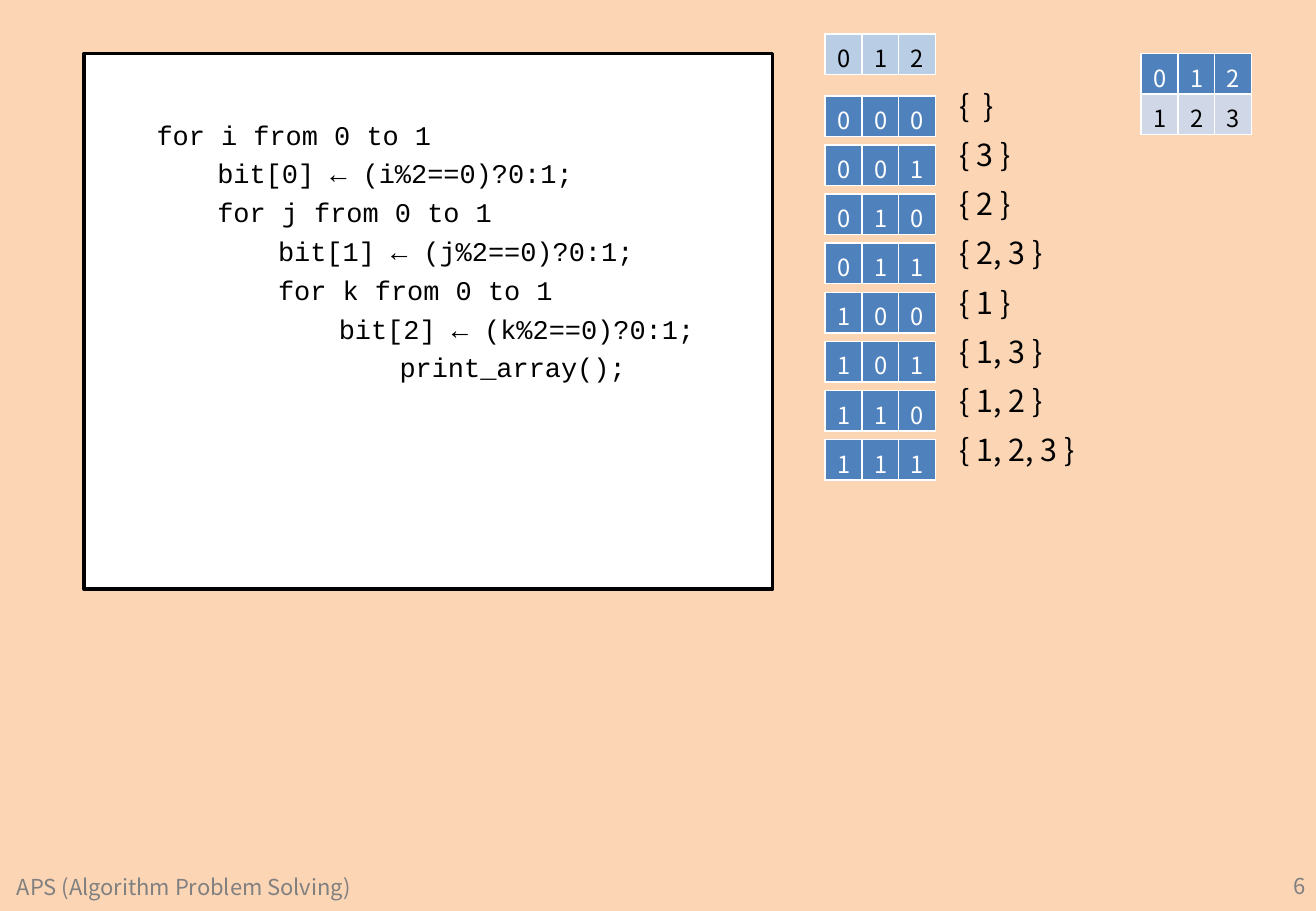
"""Build the slide that lists subsets generated from three nested bit loops."""
from lxml.etree import SubElement
from pptx import Presentation
from pptx.dml.color import RGBColor
from pptx.enum.shapes import MSO_SHAPE
from pptx.enum.text import MSO_ANCHOR as Anchor, PP_ALIGN as Align
from pptx.oxml.ns import qn
from pptx.util import Inches, Pt

PEACH = RGBColor(0xFC, 0xD5, 0xB5)
WHITE = RGBColor(0xFF, 0xFF, 0xFF)
BLACK = RGBColor(0x00, 0x00, 0x00)
GRAY = RGBColor(0x80, 0x80, 0x80)
BLUE = RGBColor(0x4F, 0x81, 0xBD)
LIGHT_BLUE = RGBColor(0xB9, 0xCD, 0xE5)
PALE_BLUE = RGBColor(0xD0, 0xD8, 0xE8)
SANS = "Noto Sans CJK KR"
MONO = "Courier New"
CELL_WIDTH, CELL_HEIGHT = 0.3033, 0.333

CODE_LINES = [
    (1, "for i from 0 to 1"),
    (2, "bit[0] ← (i%2==0)?0:1;"),
    (2, "for j from 0 to 1"),
    (3, "bit[1] ← (j%2==0)?0:1;"),
    (3, "for k from 0 to 1"),
    (4, "bit[2] ← (k%2==0)?0:1;"),
    (5, "print_array();"),
]

deck = Presentation()
deck.slide_width, deck.slide_height = Inches(10.83), Inches(7.5)
page = deck.slides.add_slide(deck.slide_layouts[6])
page.background.fill.solid()
page.background.fill.fore_color.rgb = PEACH


def write(para, text, size, color, font=SANS, align=Align.LEFT):
    """Add one formatted run to a paragraph."""
    para.alignment = align
    span = para.add_run()
    span.text = text
    for name, value in {"name": font, "size": Pt(size)}.items():
        setattr(span.font, name, value)
    span.font.color.rgb = color


def add_digits(left, top, rows):
    """Add a table with one (digits, fill, text colour) entry per row."""
    columns = len(rows[0][0])
    table = page.shapes.add_table(
        len(rows), columns, Inches(left), Inches(top),
        Inches(CELL_WIDTH * columns), Inches(CELL_HEIGHT * len(rows))).table
    table.first_row = table.horz_banding = False
    for column in table.columns:
        column.width = Inches(CELL_WIDTH)
    for row, (digits, fill, color) in enumerate(rows):
        table.rows[row].height = Inches(CELL_HEIGHT)
        for column, digit in enumerate(digits):
            cell = table.cell(row, column)
            cell.margin_top, cell.margin_bottom = Inches(0.05), 0
            properties = cell._tc.get_or_add_tcPr()
            for side in ("a:lnL", "a:lnR", "a:lnT", "a:lnB"):
                border = SubElement(properties, qn(side), w=str(Pt(1)))
                solid = SubElement(border, qn("a:solidFill"))
                SubElement(solid, qn("a:srgbClr"), val=str(WHITE))
            cell.fill.solid()
            cell.fill.fore_color.rgb = fill
            write(cell.text_frame.paragraphs[0], digit, 14, color, align=Align.CENTER)


code_box = page.shapes.add_shape(
    MSO_SHAPE.RECTANGLE, Inches(0.69), Inches(0.44), Inches(5.67), Inches(4.41))
code_box.shadow.inherit = False
code_box.fill.solid()
code_box.fill.fore_color.rgb = WHITE
code_box.line.color.rgb = BLACK
code_box.line.width = Pt(2)
code = code_box.text_frame
code.word_wrap = True
code.vertical_anchor = Anchor.TOP
code.margin_top = Inches(0.48)
for index, (level, text) in enumerate(CODE_LINES):
    para = code.add_paragraph() if index else code.paragraphs[0]
    para.level = level
    para.line_spacing = Pt(23)
    properties = para._p.get_or_add_pPr()
    properties.set("marL", str(Inches(0.5 * level)))
    properties.set("indent", "0")
    write(para, text, 16, BLACK, font=MONO)

labels = [
    (0.04, 7.19, 3.43, "APS (Algorithm Problem Solving)", 13, GRAY, Align.LEFT),
    (8.31, 7.18, 2.53, "6", 13, GRAY, Align.RIGHT),
]
for number in range(8):
    bits = format(number, "03b")
    top = 0.79 + 0.404 * number
    members = ", ".join(str(place) for place, bit in enumerate(bits, 1) if bit == "1")
    add_digits(6.79, top, [(bits, BLUE, WHITE)])
    labels.append((7.8, top - 0.07, 1.5, "{ " + members + " }", 18, BLACK, Align.LEFT))

for left, top, width, text, size, color, align in labels:
    box = page.shapes.add_textbox(Inches(left), Inches(top), Inches(width), Inches(0.4))
    box.text_frame.word_wrap = True
    box.text_frame.margin_top = 0
    write(box.text_frame.paragraphs[0], text, size, color, align=align)

add_digits(9.39, 0.44, [("012", BLUE, WHITE), ("123", PALE_BLUE, BLACK)])
add_digits(6.79, 0.28, [("012", LIGHT_BLUE, BLACK)])

deck.save("out.pptx")
